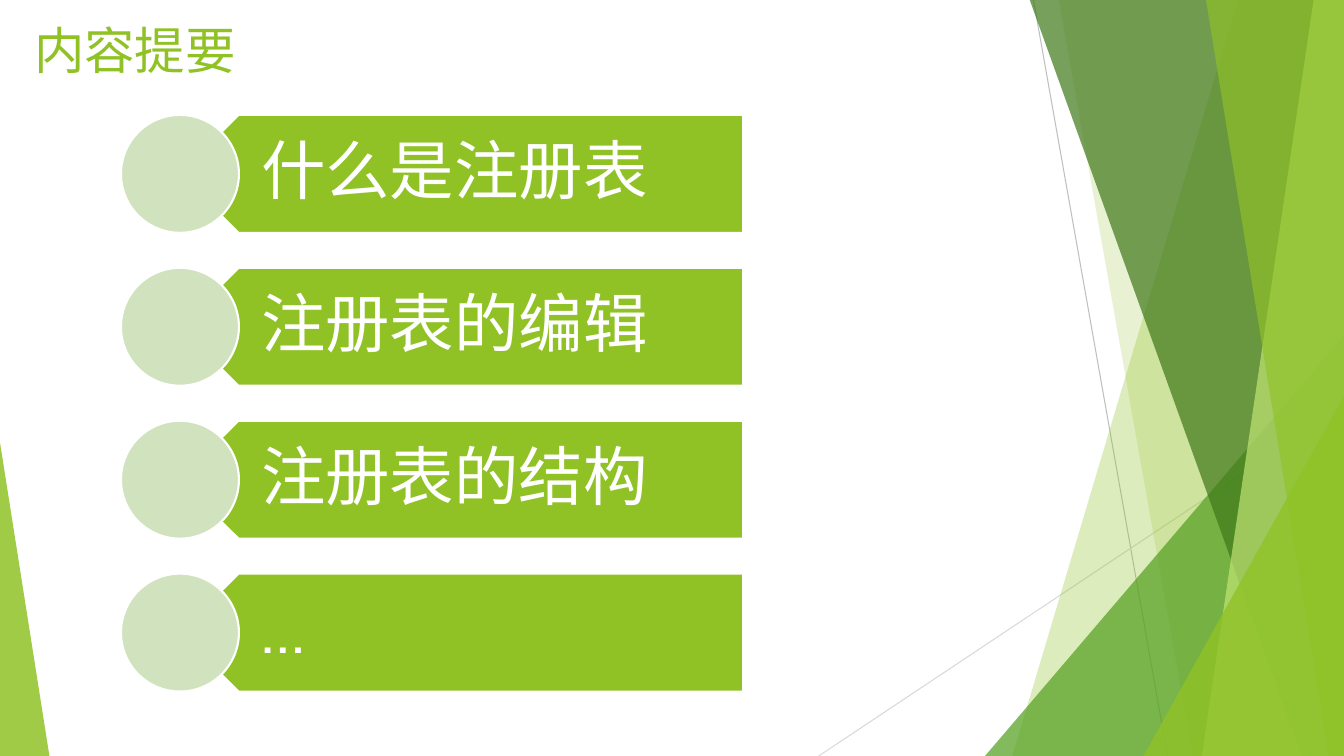
import pptx
import pptx.util
import pptx.dml.color
import pptx.enum.shapes
import pptx.enum.text
import pptx.oxml.ns
import lxml.etree

Inches = pptx.util.Inches
Pt = pptx.util.Pt
PRESET = pptx.enum.shapes.MSO_SHAPE
ANCHOR = pptx.enum.text.MSO_ANCHOR
GREEN = "90C226"
WHITE = "FFFFFF"


def color(hex_string):
    return pptx.dml.color.RGBColor.from_string(hex_string)


def paint(shape, fill, opacity=100, outline=None):
    shape.shadow.inherit = False
    shape.fill.solid()
    shape.fill.fore_color.rgb = color(fill)
    if opacity < 100:
        solid = shape.fill._xPr.find(pptx.oxml.ns.qn("a:solidFill"))
        alpha = lxml.etree.SubElement(solid[0], pptx.oxml.ns.qn("a:alpha"))
        alpha.set("val", str(opacity * 1000))
    if outline:
        shape.line.color.rgb = color(outline)
        shape.line.width = Pt(1.5)
    else:
        shape.line.fill.background()


deck = pptx.Presentation()
deck.slide_width = Inches(13.33)
deck.slide_height = Inches(7.5)
slide = deck.slides.add_slide(deck.slide_layouts[6])
shapes = slide.shapes

# Thin grey lines behind the facets
for x1, y1, x2, y2, grey in [(10.25, 0, 11.58, 7.5, "BFBFBF"),
                             (13.33, 4.03, 8.12, 7.5, "D9D9D9")]:
    ray = shapes.add_connector(pptx.enum.shapes.MSO_CONNECTOR.STRAIGHT,
                               Inches(x1), Inches(y1), Inches(x2), Inches(y2))
    ray.line.color.rgb = color(grey)
    ray.line.width = Pt(0.75)
    lxml.etree.SubElement(ray._element.spPr, pptx.oxml.ns.qn("a:effectLst"))

# Translucent facets, back to front: bands give the x of their left edge at
# top and bottom, triangles give left, top, width, height and apex position
facets = [
    ("band", (12.28, 10.04), GREEN, 30),
    ("band", (10.5, 11.83), GREEN, 20),
    ("triangle", (9.77, 3.33, 3.56, 4.17, 1), "54A021", 72),
    ("band", (10.21, 12.91), "3F7819", 70),
    ("band", (13.03, 11.92), "C0E474", 70),
    ("band", (11.96, 13.18), GREEN, 65),
    ("triangle", (11.34, 3.93, 1.99, 3.57, 1), GREEN, 80),
    ("triangle", (0, 4.39, 0.49, 3.11, 0), GREEN, 85),
]
for kind, geometry, fill, opacity in facets:
    if kind == "band":
        top_x, bottom_x = geometry
        outline = shapes.build_freeform(Inches(top_x), Inches(-0.01))
        corners = [(13.33, -0.01), (13.33, 7.5), (bottom_x, 7.5)]
        outline.add_line_segments([(Inches(x), Inches(y)) for x, y in corners])
        facet = outline.convert_to_shape()
    else:
        *box, apex = geometry
        facet = shapes.add_shape(PRESET.ISOSCELES_TRIANGLE, *map(Inches, box))
        facet.adjustments[0] = apex
    paint(facet, fill, opacity)

# Agenda rows: arrow bar, topic and circle
ROW_HEIGHT = 1.17
topics = ["什么是注册表", "注册表的编辑", "注册表的结构", "…"]
for row, topic in enumerate(topics):
    top = Inches(1.14 + row * 1.517)
    bar = shapes.add_shape(PRESET.PENTAGON, Inches(1.78), top,
                           Inches(5.59), Inches(ROW_HEIGHT))
    bar.rotation = 180
    paint(bar, GREEN, outline=WHITE)

    label = shapes.add_textbox(Inches(2.07), top, Inches(5.29), Inches(ROW_HEIGHT))
    frame = label.text_frame
    frame.word_wrap = True
    frame.vertical_anchor = ANCHOR.MIDDLE
    frame.margin_left, frame.margin_right = Inches(0.52), Inches(0.36)
    frame.margin_top = frame.margin_bottom = Inches(0.19)
    frame.text = topic
    frame.paragraphs[0].line_spacing = 0.9
    font = frame.paragraphs[0].runs[0].font
    font.name, font.size = "Cabin", Pt(46)
    font.color.rgb = color(WHITE)

    circle = shapes.add_shape(PRESET.OVAL, Inches(1.2), top,
                              Inches(ROW_HEIGHT), Inches(ROW_HEIGHT))
    paint(circle, "D1E3BE", outline=WHITE)

# Title
title = shapes.add_textbox(Inches(0.24), Inches(0.14), Inches(4.3), Inches(0.78))
title.text_frame.word_wrap = True
title.text_frame.text = "内容提要"
title_font = title.text_frame.paragraphs[0].runs[0].font
title_font.name, title_font.size = "Cabin", Pt(36)
title_font.color.rgb = color(GREEN)

deck.save("out.pptx")
